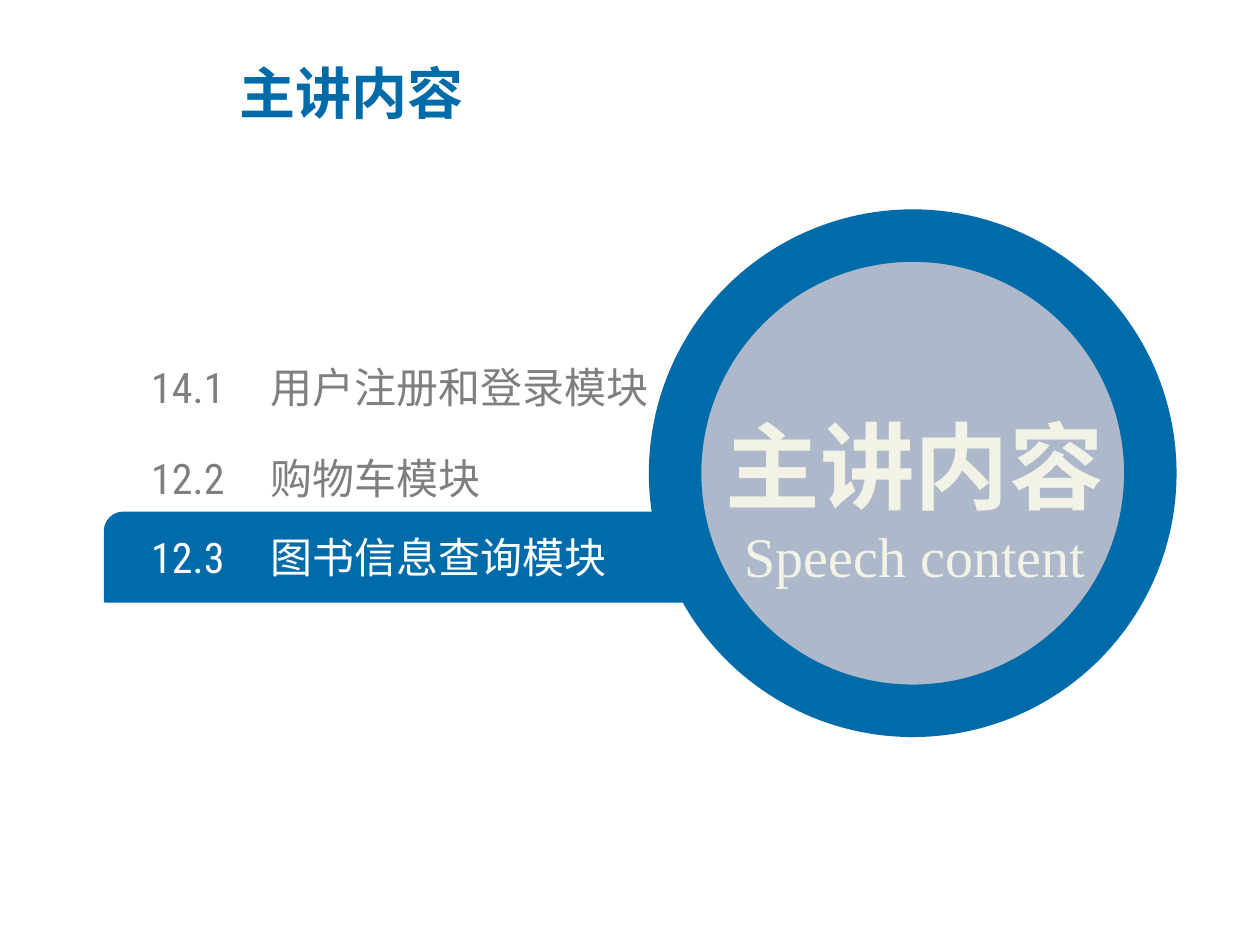
from lxml.etree import SubElement
from pptx import Presentation
from pptx.dml.color import RGBColor as RGB
from pptx.enum.shapes import MSO_SHAPE as SHAPE
from pptx.enum.text import MSO_ANCHOR as ANCHOR, PP_ALIGN as ALIGN
from pptx.oxml.ns import qn
from pptx.util import Cm, Pt

COLORS = {"blue": "006BA9", "disc": "ADB9CA", "cream": "F2F2E6", "gray": "7F7F7F", "white": "FFFFFF"}
CJK = "Noto Sans CJK SC"
ROWS = [
    ("14.1", "用户注册和登录模块", 0),
    ("12.2", "购物车模块", 1.83),
    ("12.3", "图书信息查询模块", 3.43),
]
ACTIVE = "12.3"


def rgb(name):
    return RGB.from_string(COLORS[name])


def add_shape(s, kind, box, fill, line_width):
    sp = s.shapes.add_shape(kind, *map(Cm, box))
    sp.shadow.inherit = False
    sp.fill.solid()
    sp.fill.fore_color.rgb = rgb(fill)
    sp.line.color.rgb = rgb("blue")
    sp.line.width = Pt(line_width)
    return sp


def add_text(s, box, **frame):
    tf = s.shapes.add_textbox(*map(Cm, box)).text_frame
    for key, value in {"word_wrap": True, "vertical_anchor": ANCHOR.MIDDLE, **frame}.items():
        setattr(tf, key, value)
    return tf


def add_run(p, text, color, **font):
    r = p.add_run()
    r.text = text
    for key, value in font.items():
        setattr(r.font, key, value)
    r.font.color.rgb = rgb(color)
    SubElement(r.font._element, qn("a:ea"), typeface=CJK)


def add_tab_stop(p, pos):
    tabs = SubElement(p._p.get_or_add_pPr(), qn("a:tabLst"))
    SubElement(tabs, qn("a:tab"), pos=str(Cm(pos)), algn="l")


def add_title(s, box):
    tf = add_text(s, box)
    add_run(tf.paragraphs[0], "主讲内容", "blue", name=CJK, size=Pt(32), bold=True)


def add_menu(s, box):
    x, y, w, bar_h = box
    row_h = 1.02
    margins = {f"margin_{side}": 0 for side in ("left", "top", "right", "bottom")}
    for number, name, top in ROWS:
        active = number == ACTIVE
        if active:
            bar_y = y + top + (row_h - bar_h) / 2
            bar = add_shape(s, SHAPE.ROUND_2_DIAG_RECTANGLE, (x, bar_y, w, bar_h), "blue", 1)
            bar.adjustments[0] = 0.21
            bar.adjustments[1] = 0
        tf = add_text(s, (x + 0.94, y + top, 10.64, row_h), **margins)
        p = tf.paragraphs[0]
        add_tab_stop(p, 2.41)
        add_run(p, f"{number}\t{name}", "white" if active else "gray",
                name="Roboto Condensed", size=Pt(24))


def add_disc(s, box):
    x, y, w, h = box
    add_shape(s, SHAPE.OVAL, box, "disc", 30)
    tf = add_text(s, (x - 0.12, y + 2.18, w + 0.33, 5.08))
    heading, subtitle = tf.paragraphs[0], tf.add_paragraph()
    heading.line_spacing = 1.5
    for p in (heading, subtitle):
        p.alignment = ALIGN.CENTER
    add_run(heading, "主讲内容", "cream", name=CJK, size=Pt(54), bold=True)
    add_run(subtitle, "Speech content", "cream", name="Times New Roman", size=Pt(32))


def main():
    prs = Presentation()
    prs.slide_width, prs.slide_height = Cm(25.4), Cm(19.05)
    s = prs.slides.add_slide(prs.slide_layouts[6])
    add_menu(s, (2.11, 7.29, 13.59, 1.8))
    add_disc(s, (13.61, 4.75, 9.58, 9.58))
    add_title(s, (4.57, 1.09, 13.74, 1.55))
    prs.save("out.pptx")


if __name__ == "__main__":
    main()
